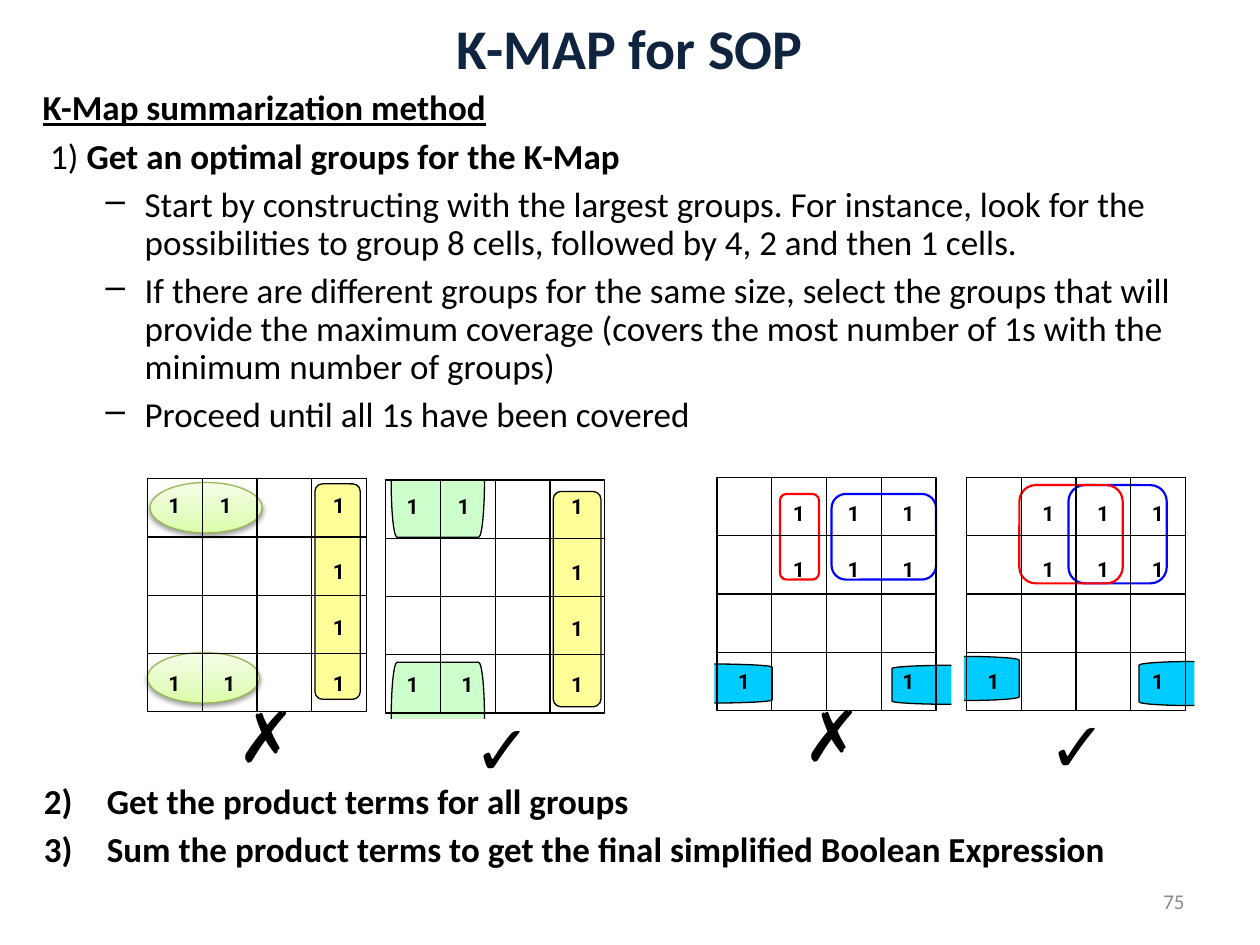
import pptx
import pptx.util
import pptx.oxml
import pptx.oxml.ns
import pptx.dml.color
import pptx.enum.shapes
import pptx.enum.text
from lxml import etree

Inches, Pt = pptx.util.Inches, pptx.util.Pt
RGB = pptx.dml.color.RGBColor.from_string
SHAPE = pptx.enum.shapes.MSO_SHAPE
ALIGN = pptx.enum.text.PP_ALIGN
ANCHOR = pptx.enum.text.MSO_ANCHOR
qn = pptx.oxml.ns.qn
COLORS = {"black": "000000", "title": "0F243E", "number": "898989",
          "cyan": "00CCFF", "blue": "0000FF", "red": "FF0000",
          "yellow": "FFFF99", "mint": "CCFFCC", "olive": "98B955",
          "lime": "DAFDA7", "lime_mid": "E4FCC2", "lime_pale": "F5FFE7"}

prs = pptx.Presentation()
prs.slide_width, prs.slide_height = Inches(10), Inches(7.5)
slide = prs.slides.add_slide(prs.slide_layouts[5])


def add_outline(kind, box, fill, line="black", width=0.75, corner=None, rotation=0):
    shape = slide.shapes.add_shape(kind, *[Inches(v) for v in box])
    shape.shadow.inherit = False
    if fill:
        shape.fill.solid()
        shape.fill.fore_color.rgb = RGB(COLORS[fill])
    else:
        shape.fill.background()
    shape.line.color.rgb = RGB(COLORS[line])
    shape.line.width = Pt(width)
    if corner is not None:
        shape.adjustments[0] = corner
    shape.rotation = rotation
    return shape


def add_label(text, box, size, font, color="black", bold=False, align=ALIGN.LEFT):
    frame = slide.shapes.add_textbox(*[Inches(v) for v in box]).text_frame
    frame.word_wrap = True
    paragraph = frame.paragraphs[0]
    paragraph.alignment = align
    run = paragraph.add_run()
    run.text = text
    run.font.size, run.font.name, run.font.bold = Pt(size), font, bold
    run.font.color.rgb = RGB(COLORS[color])
    return frame


# Wraparound and edge groups: kind, box, fill, line, width, corner, rotation
groups = [
    (SHAPE.LEFT_BRACKET, (9.04, 5.25, 0.44, 0.35), "cyan", "black", 0.75, 0.084, 0),
    (SHAPE.RIGHT_BRACKET, (7.65, 5.21, 0.44, 0.35), "cyan", "black", 0.75, 0.084, 0),
    (SHAPE.ROUNDED_RECTANGLE, (8.48, 3.85, 0.78, 0.78), None, "blue", 1.25, 0.167, 0),
    (SHAPE.ROUNDED_RECTANGLE, (8.09, 3.85, 0.82, 0.78), None, "red", 1.25, 0.167, 0),
    (SHAPE.ROUNDED_RECTANGLE, (2.5, 3.84, 0.36, 1.71), "yellow", "black", 0.75, 0.167, 0),
    (SHAPE.ROUNDED_RECTANGLE, (4.39, 3.9, 0.38, 1.71), "yellow", "black", 0.75, 0.167, 0),
    (SHAPE.LEFT_BRACKET, (3.25, 5.11, 0.45, 0.74), "mint", "black", 0.75, 0.104, 90),
    (SHAPE.LEFT_BRACKET, (3.25, 3.67, 0.45, 0.74), "mint", "black", 0.75, 0.104, 270),
    (SHAPE.LEFT_BRACKET, (7.08, 5.28, 0.47, 0.31), "cyan", "black", 0.75, 0.084, 0),
    (SHAPE.RIGHT_BRACKET, (5.67, 5.27, 0.46, 0.31), "cyan", "black", 0.75, 0.084, 0),
    (SHAPE.ROUNDED_RECTANGLE, (6.6, 3.92, 0.83, 0.68), None, "blue", 1.25, 0.167, 0),
    (SHAPE.ROUNDED_RECTANGLE, (6.19, 3.92, 0.31, 0.68), None, "red", 1.25, 0.167, 0),
]
for group in groups:
    add_outline(*group)

# Ellipses with a three-stop gradient and a soft shadow
NS = 'xmlns:a="http://schemas.openxmlformats.org/drawingml/2006/main"'
stops = "".join(f'<a:gs pos="{pos}"><a:srgbClr val="{COLORS[name]}"/></a:gs>'
                for pos, name in ((0, "lime"), (35000, "lime_mid"), (100000, "lime_pale")))
gradient = f'<a:gradFill {NS}><a:gsLst>{stops}</a:gsLst><a:lin ang="16200000" scaled="0"/></a:gradFill>'
shadow = (f'<a:outerShdw {NS} blurRad="{Pt(3.1)}" dist="{Pt(1.6)}" dir="5400000" rotWithShape="0">'
          '<a:srgbClr val="000000"><a:alpha val="38000"/></a:srgbClr></a:outerShdw>')
for left, top in ((1.17, 5.18), (1.19, 3.83)):
    ellipse = add_outline(SHAPE.OVAL, (left, top, 0.89, 0.4), "lime", "olive")
    props = ellipse._element.spPr
    props.replace(props.find(qn("a:solidFill")), pptx.oxml.parse_xml(gradient))
    props.find(qn("a:effectLst")).append(pptx.oxml.parse_xml(shadow))

# Verdict under each map
for verdict, left, top in (("✗", 1.79, 5.45), ("✓", 3.66, 5.55),
                           ("✗", 6.28, 5.44), ("✓", 8.22, 5.53)):
    add_label(verdict, (left, top, 0.67, 0.67), 40, "Arial")

# Title
title = slide.shapes.title
title.left, title.top, title.width, title.height = Inches(0), Inches(0), Inches(10), Inches(0.75)
title.text_frame.vertical_anchor = ANCHOR.MIDDLE
title_line = title.text_frame.paragraphs[0]
title_line.alignment = ALIGN.CENTER
title_run = title_line.add_run()
title_run.text = "K-MAP for SOP"
title_run.font.size, title_run.font.name, title_run.font.bold = Pt(32), "Calibri", True
title_run.font.color.rgb = RGB(COLORS["title"])

# Method steps: runs (text, bold, underline), margin, indent, bullet, space before
DASH = ("a:buChar", {"char": "–"})
COUNT = ("a:buAutoNum", {"type": "arabicParenR", "startAt": "2"})
MAPS_GAP = 199.5
steps = [
    ([("K-Map summarization method", True, True)], 0, 0, None, 0),
    ([("1) ", False, False), ("Get an optimal groups for the K-Map", True, False)], 0.06, 0, None, 6),
    ([("Start by constructing with the largest groups. For instance, look for the "
       "possibilities to group 8 cells, followed by 4, 2 and then 1 cells.", False, False)],
     0.81, -0.31, DASH, 6),
    ([("If there are different groups for the same size, select the groups that will "
       "provide the maximum coverage (covers the most number of 1s with the minimum "
       "number of groups)", False, False)], 0.81, -0.31, DASH, 6),
    ([("Proceed until all 1s have been covered", False, False)], 0.81, -0.31, DASH, 6),
    ([("Get the product terms for all groups", True, False)], 0.51, -0.5, COUNT, MAPS_GAP),
    ([("Sum the product terms to get the final simplified Boolean Expression", True, False)],
     0.51, -0.5, COUNT, 6),
]
method = slide.shapes.add_textbox(Inches(0.24), Inches(0.67), Inches(9.17), Inches(6.3)).text_frame
method.word_wrap = True
for number, (runs, margin, indent, bullet, before) in enumerate(steps):
    paragraph = method.add_paragraph() if number else method.paragraphs[0]
    layout = paragraph._p.get_or_add_pPr()
    layout.set("marL", str(Inches(margin)))
    layout.set("indent", str(Inches(indent)))
    if bullet:
        etree.SubElement(layout, qn(bullet[0]), bullet[1])
    paragraph.line_spacing = 0.9
    paragraph.space_before = Pt(before)
    for text, bold, underline in runs:
        run = paragraph.add_run()
        run.text = text
        run.font.size, run.font.name = Pt(20), "Calibri"
        run.font.bold, run.font.underline = bold, underline
        run.font.color.rgb = RGB(COLORS["black"])

# Karnaugh maps: left, top, offset of first-row text, rows of ones
MAP_W, MAP_H = 1.74, 1.85
CELL_W, CELL_H = MAP_W / 4, MAP_H / 4
column_map = ("11.1", "...1", "...1", "11.1")
block_map = (".111", ".111", "....", "1..1")
maps = [(3.06, 3.81, 0.06, column_map), (1.17, 3.8, 0.06, column_map),
        (7.67, 3.79, 0.13, block_map), (5.69, 3.79, 0.13, block_map)]
for left, top, first_row, rows in maps:
    border = add_outline(SHAPE.RECTANGLE, (left, top, MAP_W, MAP_H), None)
    for i in (1, 2, 3):
        x, y = left + i * CELL_W, top + i * CELL_H
        for ends, sides in (((left, y, left + MAP_W, y), (1, 3)),
                            ((x, top, x, top + MAP_H), (0, 2))):
            rule = slide.shapes.add_connector(pptx.enum.shapes.MSO_CONNECTOR.STRAIGHT,
                                              *[Inches(v) for v in ends])
            rule.line.color.rgb = RGB(COLORS["black"])
            rule.line.width = Pt(0.75)
            etree.SubElement(rule._element.spPr, qn("a:effectLst"))
            if i == 2:
                rule.begin_connect(border, sides[0])
                rule.end_connect(border, sides[1])
    for row, offset in zip(rows, (first_row, 0.58, 1.03, 1.47)):
        for column, value in enumerate(row):
            if value == "1":
                # The second one in the top row of a column map sits slightly left
                nudge = 0.03 if column == 1 and offset == 0.06 else 0
                add_label("1", (left + column * CELL_W - nudge, top + offset, 0.43, 0.36),
                          12, "Roboto", bold=True, align=ALIGN.CENTER)

# Slide number
page = add_label("75", (7.17, 6.95, 2.33, 0.4), 12, "Calibri", "number", align=ALIGN.RIGHT)
page.vertical_anchor = ANCHOR.MIDDLE

prs.save("out.pptx")
